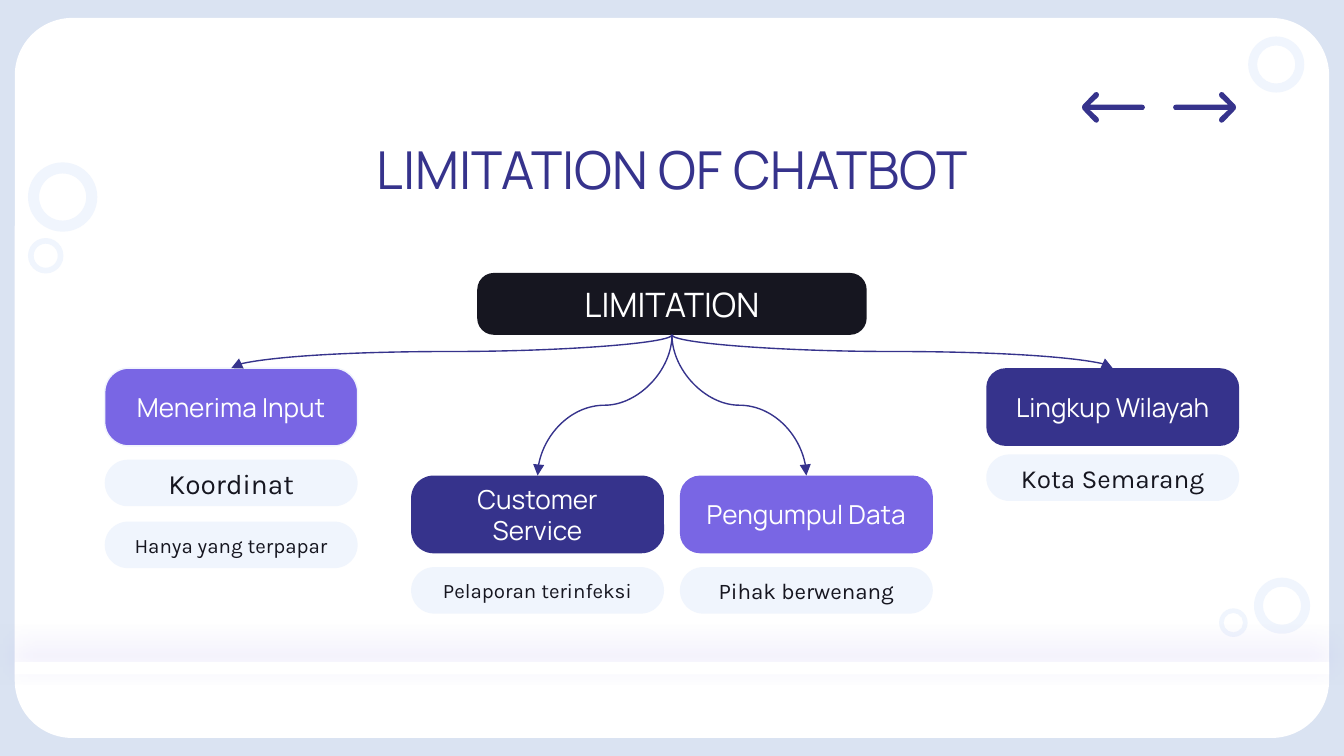
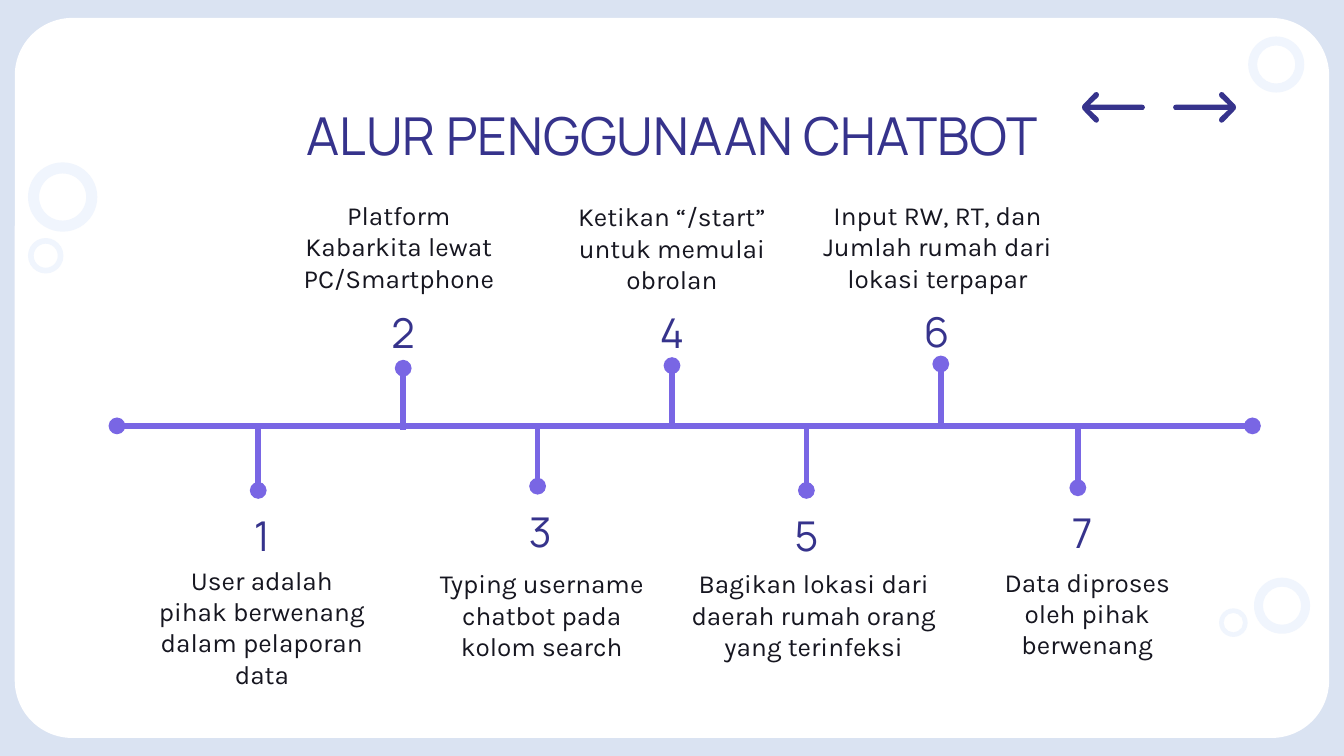
from lxml import etree
from pptx import Presentation
from pptx import util as u
from pptx.dml.color import RGBColor
from pptx.enum import shapes, text
from pptx.oxml.ns import qn

NAVY, VIOLET, INK = "36338C", "7966E4", "161620"
WHITE, PALE, SKY = "FFFFFF", "F0F5FD", "DAE3F2"
HEADING, BODY = "Manrope", "Karla"

# All positions and lengths are in centimetres.
CARD = (0.28, 0.34, 24.84, 13.61)
RINGS = [(0.53, 3.07, 1.31), (23.04, 11.5, 0.54), (23.59, 0.69, 1.06),
         (0.53, 4.5, 0.67), (23.7, 10.92, 1.06)]  # left, top, diameter
TITLE_LEFT, TITLE_WIDTH, TITLE_HEIGHT = 1.98, 21.44, 1.6

ARROW_LEFTS = {"left": 20.45, "right": 22.17}
ARROW_TOP, ARROW_WIDTH, ARROW_HEIGHT = 1.74, 1.19, 0.58
ARROW_UPPER_EDGE = [(0, 0.29), (0.02, 0.25), (0.05, 0.24), (1.04, 0.24),
                    (0.88, 0.09), (0.87, 0.05), (0.88, 0.02), (0.91, 0),
                    (0.95, 0.01), (1.18, 0.25), (1.19, 0.29)]

ROOT = ("LIMITATION", (9.02, 5.16, 7.36, 1.17))
BRANCH_WIDTH, BRANCH_HEIGHT = 4.78, 1.47
PILL_HEIGHT, PILL_STEP = 0.88, 1.17
BRANCHES = [
    dict(name="Menerima Input", left=1.98, top=6.96, fill=VIOLET, line="F1F4FD",
         corner=0.31, gap=0.26, pills=[("Koordinat", 15), ("Hanya yang terpapar", 11)]),
    dict(name="Lingkup Wilayah", left=18.64, top=6.96, fill=NAVY, line=None,
         corner=0.25, gap=0.16, pills=[("Kota Semarang", 14)]),
    dict(name="Customer Service", left=7.77, top=8.99, fill=NAVY, line=None,
         corner=0.29, gap=0.26, pills=[("Pelaporan terinfeksi", 11)]),
    dict(name="Pengumpul Data", left=12.85, top=8.99, fill=VIOLET, line=None,
         corner=0.26, gap=0.26, pills=[("Pihak berwenang", 12)]),
]
DIVIDER_TOP, DIVIDER_HEIGHT = 12.52, 0.23

AXIS_LEFT, AXIS_RIGHT, AXIS_Y = 2.21, 23.67, 8.05
STEM_LENGTH, LABEL_WIDTH = 1.16, 4.06
NUMBER_HEIGHT, LABEL_HEIGHT = 1.02, 1.8
# stem x, dot y, (number centre, top), (label centre, top, width), label
STEPS = [
    (4.88, 9.27, (4.95, 9.6), (4.95, 10.95, LABEL_WIDTH),
     "User adalah pihak berwenang dalam pelaporan data"),
    (7.62, 6.96, (7.62, 5.77), (7.54, 3.76, LABEL_WIDTH),
     "Platform Kabarkita lewat PC/Smartphone"),
    (10.16, 9.19, (10.21, 9.53), (10.24, 10.72, LABEL_WIDTH),
     "Typing username chatbot pada kolom search"),
    (12.7, 6.91, (12.7, 5.77), (12.7, 3.78, LABEL_WIDTH),
     "Ketikan “/start” untuk memulai obrolan"),
    (15.24, 9.27, (15.24, 9.6), (15.38, 10.72, 4.95),
     "Bagikan lokasi dari daerah rumah orang yang terinfeksi"),
    (17.78, 6.88, (17.7, 5.74), (17.72, 3.76, 4.8),
     "Input RW, RT, dan Jumlah rumah dari lokasi terpapar"),
    (20.37, 9.22, (20.45, 9.55), (20.55, 10.69, LABEL_WIDTH),
     "Data diproses oleh pihak berwenang"),
]


def color(value):
    return RGBColor.from_string(value)


def cm(*values):
    return [u.Cm(value) for value in values]


def write(box, words, size, font=HEADING, ink=WHITE, inset=0.25):
    frame = box.text_frame
    frame.word_wrap = True
    frame.vertical_anchor = text.MSO_ANCHOR.MIDDLE
    frame.margin_left = frame.margin_right = u.Cm(inset)
    frame.margin_top = frame.margin_bottom = u.Cm(inset)
    para = frame.paragraphs[0]
    para.alignment = text.PP_ALIGN.CENTER
    span = para.add_run()
    span.text = words
    span.font.size = u.Pt(size)
    span.font.name = font
    span.font.color.rgb = color(ink)


def add_text(page, place, words, size, **style):
    write(page.shapes.add_textbox(*cm(*place)), words, size, **style)


def paint(shape, fill, line=None):
    shape.shadow.inherit = False
    shape.fill.solid()
    shape.fill.fore_color.rgb = color(fill)
    if line:
        shape.line.color.rgb = color(line)
        shape.line.width = u.Pt(0.75)
    else:
        shape.line.fill.background()


def add_shape(page, kind, place, fill, corner=None, line=None):
    shape = page.shapes.add_shape(kind, *cm(*place))
    if corner is not None:
        shape.adjustments[0] = corner
    paint(shape, fill, line)
    return shape


def rounded(page, place, fill, corner, line=None):
    return add_shape(page, shapes.MSO_SHAPE.ROUNDED_RECTANGLE, place, fill, corner, line)


def add_line(page, start, end, ink, width, head=None, tail=None, curved=False):
    """Draw a connector; head and tail are the end marks at start and end."""
    kind = shapes.MSO_CONNECTOR.CURVE if curved else shapes.MSO_CONNECTOR.STRAIGHT
    line = page.shapes.add_connector(kind, *cm(*start, *end))
    line.line.color.rgb = color(ink)
    line.line.width = u.Pt(width)
    outline = line.line._get_or_add_ln()
    for tag, mark in (("a:headEnd", head), ("a:tailEnd", tail)):
        if mark:
            etree.SubElement(outline, qn(tag), type=mark)
    etree.SubElement(line._element.spPr, qn("a:effectLst"))
    return line


def add_arrow(page, direction):
    lower_edge = [(x, ARROW_HEIGHT - y) for x, y in ARROW_UPPER_EDGE[-2:0:-1]]
    outline = ARROW_UPPER_EDGE + lower_edge
    if direction == "left":
        outline = [(ARROW_WIDTH - x, y) for x, y in outline]
    points = [cm(ARROW_LEFTS[direction] + x, ARROW_TOP + y) for x, y in outline]
    builder = page.shapes.build_freeform(*points[0])
    builder.add_line_segments(points[1:], close=True)
    paint(builder.convert_to_shape(), NAVY)


def add_page(deck, title, title_top):
    page = deck.slides.add_slide(deck.slide_layouts[6])
    page.background.fill.solid()
    page.background.fill.fore_color.rgb = color(SKY)
    rounded(page, CARD, WHITE, 0.08)
    for left, top, diameter in RINGS:
        add_shape(page, shapes.MSO_SHAPE.DONUT, (left, top, diameter, diameter), PALE, 0.16)
    add_text(page, (TITLE_LEFT, title_top, TITLE_WIDTH, TITLE_HEIGHT), title, 28, ink=NAVY)
    for direction in ARROW_LEFTS:
        add_arrow(page, direction)
    return page


def add_divider(page):
    """White strip whose top line casts a soft violet glow upwards."""
    left, _, width, _ = CARD
    line = add_line(page, (left + width, DIVIDER_TOP), (left, DIVIDER_TOP), WHITE, 0.75)
    effects = line._element.spPr.find(qn("a:effectLst"))
    glow = etree.SubElement(effects, qn("a:outerShdw"), blurRad=str(u.Pt(15.8)),
                            dist=str(u.Pt(4.5)), dir=str(264 * 60000),
                            algn="bl", rotWithShape="0")
    etree.SubElement(glow, qn("a:srgbClr"), val=VIOLET)
    add_shape(page, shapes.MSO_SHAPE.RECTANGLE,
              (left, DIVIDER_TOP, width, DIVIDER_HEIGHT), WHITE)


def add_branch_curve(page, root, branch):
    """Curve that leaves the root downwards and enters the branch from above."""
    start = (root.left + root.width // 2, root.top + root.height)
    end = (branch.left + branch.width // 2, branch.top)
    curve = add_line(page, (0, 0), (1, 1), NAVY, 0.75, tail="triangle", curved=True)
    curve.begin_connect(root, 2)
    curve.end_connect(branch, 0)
    # The preset runs sideways, so it is turned a quarter about its middle.
    drop, reach = end[1] - start[1], abs(end[0] - start[0])
    curve.left = (start[0] + end[0] - drop) // 2
    curve.top = (start[1] + end[1] - reach) // 2
    curve.width, curve.height = drop, reach
    to_right = end[0] > start[0]
    frame = curve._element.spPr.find(qn("a:xfrm"))
    for flip in ("flipH", "flipV"):
        frame.attrib.pop(flip, None)
    frame.set("rot", str((270 if to_right else 90) * 60000))
    if to_right:
        frame.set("flipH", "1")


def build_limitations(deck):
    page = add_page(deck, "LIMITATION OF CHATBOT", 2.39)
    add_divider(page)
    name, place = ROOT
    root = rounded(page, place, INK, 0.27)
    write(root, name, 18)
    for item in BRANCHES:
        left, top = item["left"], item["top"]
        branch = rounded(page, (left, top, BRANCH_WIDTH, BRANCH_HEIGHT),
                         item["fill"], item["corner"], item["line"])
        write(branch, item["name"], 14)
        first = top + BRANCH_HEIGHT + item["gap"]
        for index, (words, size) in enumerate(item["pills"]):
            pill = rounded(page, (left, first + index * PILL_STEP, BRANCH_WIDTH, PILL_HEIGHT),
                           PALE, 0.5)
            write(pill, words, size, font=BODY, ink=INK)
        add_branch_curve(page, root, branch)


def build_timeline(deck):
    page = add_page(deck, "ALUR PENGGUNAAN CHATBOT", 1.75)
    add_line(page, (AXIS_LEFT, AXIS_Y), (AXIS_RIGHT, AXIS_Y), VIOLET, 3, "oval", "oval")
    for number, (x, dot, number_place, label_place, label) in enumerate(STEPS, 1):
        foot = dot - STEM_LENGTH if dot > AXIS_Y else dot + STEM_LENGTH
        add_line(page, (x, dot), (x, foot), VIOLET, 3, head="oval")
        centre, top = number_place
        add_text(page, (centre - LABEL_WIDTH / 2, top, LABEL_WIDTH, NUMBER_HEIGHT),
                 str(number), 22, ink=NAVY, inset=0)
        centre, top, width = label_place
        add_text(page, (centre - width / 2, top, width, LABEL_HEIGHT),
                 label, 14, font=BODY, ink=INK, inset=0)


def main():
    deck = Presentation()
    deck.slide_width, deck.slide_height = cm(25.4, 14.29)
    build_limitations(deck)
    build_timeline(deck)
    deck.save("out.pptx")


if __name__ == "__main__":
    main()
